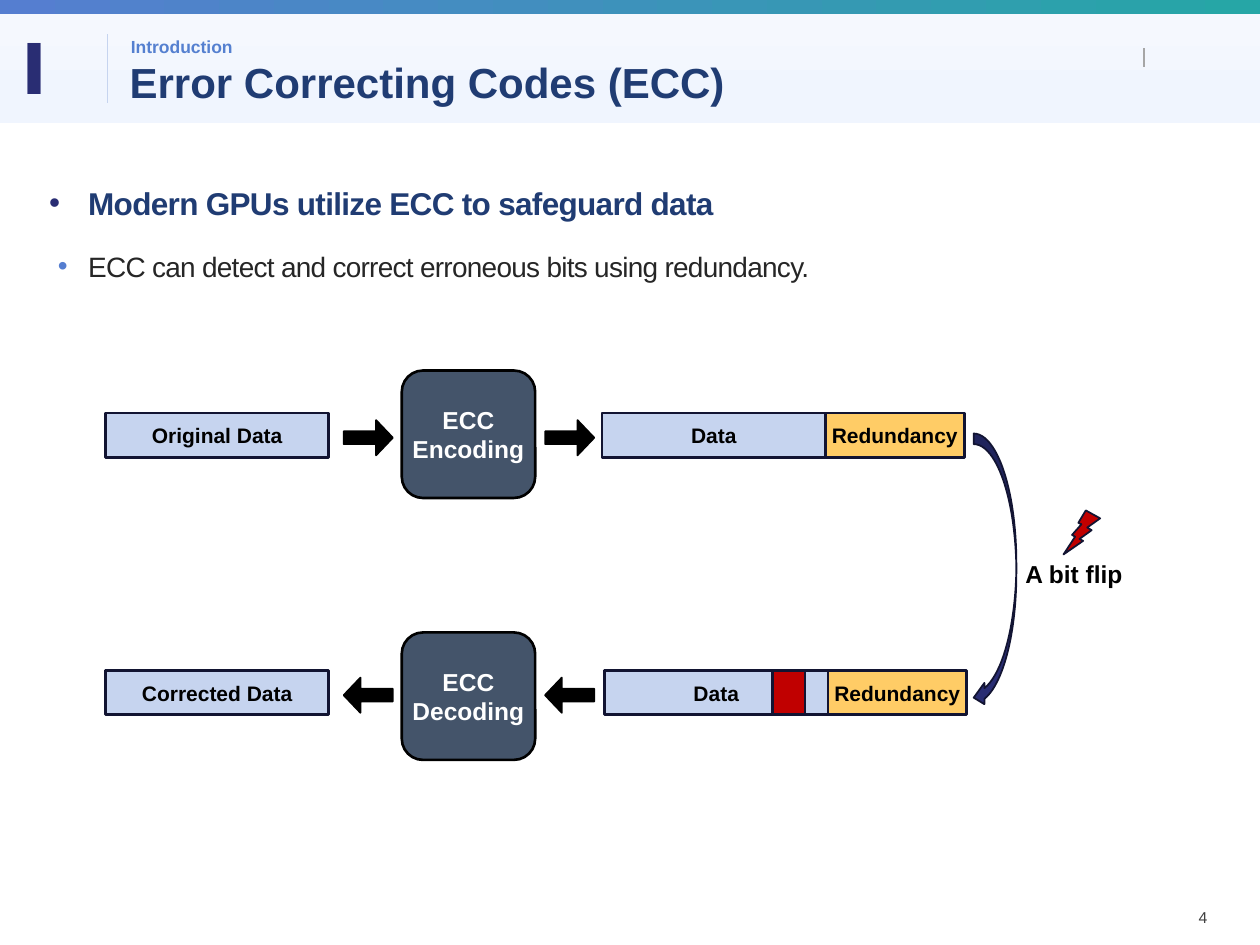
from lxml import etree
from pptx import Presentation
from pptx.dml.color import RGBColor
from pptx.enum.shapes import MSO_CONNECTOR, MSO_SHAPE
from pptx.enum.text import MSO_ANCHOR, MSO_AUTO_SIZE, PP_ALIGN
from pptx.oxml.ns import qn
from pptx.util import Cm, Pt

RECT, ROUND = MSO_SHAPE.RECTANGLE, MSO_SHAPE.ROUNDED_RECTANGLE
ARROW, BOLT = MSO_SHAPE.RIGHT_ARROW, MSO_SHAPE.LIGHTNING_BOLT
CURVED = MSO_SHAPE.CURVED_LEFT_ARROW
STRAIGHT = MSO_CONNECTOR.STRAIGHT
TOP, MIDDLE = MSO_ANCHOR.TOP, MSO_ANCHOR.MIDDLE
LEFT, CENTER, RIGHT = PP_ALIGN.LEFT, PP_ALIGN.CENTER, PP_ALIGN.RIGHT
NO_FIT = MSO_AUTO_SIZE.NONE

FONT = "Arial"
COLORS = {
    "navy": "203C73", "indigo": "292D73", "edge": "121432", "blue": "557ED0",
    "section": "5580D0", "teal": "26A6A6", "pale": "C6D4EF", "top": "F5F8FE",
    "bottom": "F0F5FE", "slate": "44546A", "amber": "FFCC66", "red": "C00000",
    "black": "000000", "white": "FFFFFF", "body": "262626",
    "number": "404040", "rule": "A6A6A6",
}


def rgb(name):
    return RGBColor.from_string(COLORS[name])


def format_paragraph(p, size, color, bold=True, align=LEFT):
    p.alignment = align
    for r in p.runs:
        r.font.name, r.font.size, r.font.bold = FONT, Pt(size), bold
        r.font.color.rgb = rgb(color)


def set_text(sp, text, size, color, bold=True, align=LEFT, anchor=MIDDLE, wrap=True):
    tf = sp.text_frame
    tf.text = text
    tf.word_wrap, tf.auto_size, tf.vertical_anchor = wrap, NO_FIT, anchor
    for p in tf.paragraphs:
        format_paragraph(p, size, color, bold, align)
    return tf


def add_text(s, box, text, size, color, **options):
    sp = s.shapes.add_textbox(*map(Cm, box))
    return set_text(sp, text, size, color, **options)


def add_box(s, kind, box, fill, line="edge", width=1.5, text="", size=12,
            color="black", flip=False):
    sp = s.shapes.add_shape(kind, *map(Cm, box))
    sp.shadow.inherit = False
    sp.fill.solid()
    sp.fill.fore_color.rgb = rgb(fill)
    sp.line.color.rgb = rgb(line)
    sp.line.width = Pt(width)
    if flip:
        sp._element.spPr.xfrm.set("flipH", "1")
    if text:
        set_text(sp, text, size, color, align=CENTER, wrap=False)
    return sp


def add_band(s, box, stops, angle):
    sp = s.shapes.add_shape(RECT, *map(Cm, box))
    sp.shadow.inherit = False
    sp.line.fill.background()
    sp.fill.gradient()
    sp.fill.gradient_angle = angle
    for stop, (position, color) in zip(sp.fill.gradient_stops, stops):
        stop.position, stop.color.rgb = position, rgb(color)


def add_rule(s, x, top, bottom, color, width):
    line = s.shapes.add_connector(STRAIGHT, Cm(x), Cm(top), Cm(x), Cm(bottom))
    line.line.color.rgb = rgb(color)
    line.line.width = Pt(width)
    etree.SubElement(line._element.spPr, qn("a:effectLst"))


def add_header(s, x, y, w, h):
    strip = 0.28
    add_band(s, (x, y + strip, w, h - strip), [(0.07, "top"), (0.73, "bottom")], 270)
    add_band(s, (x, y, w, strip), [(0, "blue"), (1, "teal")], 0)
    add_rule(s, x + 2.16, y + 0.69, y + 2.08, "pale", 0.5)
    add_rule(s, x + 23.06, y + 0.97, y + 1.35, "rule", 0.75)
    title = s.shapes.title
    title.left, title.top, title.width, title.height = map(
        Cm, (x + 2.36, y + 1.12, 20.57, 1.17))
    tf = set_text(title, "Error Correcting Codes (ECC)", 24, "navy")
    tf.paragraphs[0].line_spacing = 0.9
    s.shapes._spTree.append(title._element)
    tf = add_text(s, (x + 2.39, y + 0.64, 20.57, 0.64), "Introduction", 10, "section")
    tf.paragraphs[0].line_spacing = 0.9
    add_text(s, (x + 0.18, y + 0.38, 1.8, 1.96), "Ⅰ", 40, "indigo", anchor=TOP)


def add_bullets(s, box):
    rows = [
        ("Modern GPUs utilize ECC to safeguard data",
         18, "navy", True, 9, 9, 0.79, "indigo"),
        ("ECC can detect and correct erroneous bits using redundancy.",
         16, "body", False, 3, 4, 0.61, "blue"),
    ]
    tf = add_text(s, box, "\n".join(row[0] for row in rows), 18, "navy", anchor=TOP)
    for level, (p, row) in enumerate(zip(tf.paragraphs, rows)):
        _, size, color, bold, before, after, hang, bullet = row
        format_paragraph(p, size, color, bold)
        p.level, p.line_spacing = level, 1.2
        p.space_before, p.space_after = Pt(before), Pt(after)
        pPr = p._p.get_or_add_pPr()
        pPr.set("marL", str(Cm(0.79)))
        pPr.set("indent", str(-Cm(hang)))
        bu_color = etree.SubElement(pPr, qn("a:buClr"))
        etree.SubElement(bu_color, qn("a:srgbClr"), val=COLORS[bullet])
        etree.SubElement(pPr, qn("a:buFont"), typeface=FONT)
        etree.SubElement(pPr, qn("a:buChar"), char="•")
        for r in p.runs:
            r._r.get_or_add_rPr().set("spc", "-40")


def add_flow(s, x, y, bar_y, word_x, plain, step, backward=False):
    bar_h, data_w = 0.89, 4.5
    bar_top = y + bar_y
    add_box(s, RECT, (x, bar_top, data_w, bar_h), "pale", text=plain)
    add_box(s, ROUND, (x + 5.97, y, 2.69, 2.57), "slate", "black",
            text=f"ECC\n{step}", size=14, color="white")
    for arrow_x in (4.8, 8.86):
        sp = add_box(s, ARROW, (x + arrow_x, bar_top + 0.14, 0.99, 0.71),
                     "black", "black", 1, flip=backward)
        sp.adjustments[0], sp.adjustments[1] = 0.364, 0.475
    word = x + word_x
    add_box(s, RECT, (word + data_w, bar_top, 2.8, bar_h), "amber", text="Redundancy")
    add_box(s, RECT, (word, bar_top, data_w, bar_h), "pale", text="Data")
    if backward:
        add_box(s, RECT, (word + 3.38, bar_top, 0.66, bar_h), "red")


def add_bit_flip(s, x, y):
    add_box(s, CURVED, (x, y, 0.86, 5.54), "indigo", width=1)
    add_box(s, BOLT, (x + 1.81, y + 1.55, 0.74, 0.89), "red", width=1, flip=True)
    add_text(s, (x + 0.79, y + 2.41, 2.77, 1.02), "A bit flip", 14, "black", anchor=TOP)


def main():
    prs = Presentation()
    prs.slide_width, prs.slide_height = Cm(25.4), Cm(19.05)
    s = prs.slides.add_slide(prs.slide_layouts[5])
    add_header(s, 0, 0, 25.4, 2.49)
    add_bullets(s, (0.74, 3.43, 23.98, 4.7))
    add_flow(s, 2.13, 7.47, 0.86, 10.01, "Original Data", "Encoding")
    add_flow(s, 2.13, 12.75, 0.77, 10.06, "Corrected Data", "Decoding", backward=True)
    add_bit_flip(s, 19.63, 8.74)
    add_text(s, (18.87, 17.98, 5.72, 1.02), "4", 9, "number", bold=False, align=RIGHT)
    prs.save("out.pptx")


if __name__ == "__main__":
    main()
